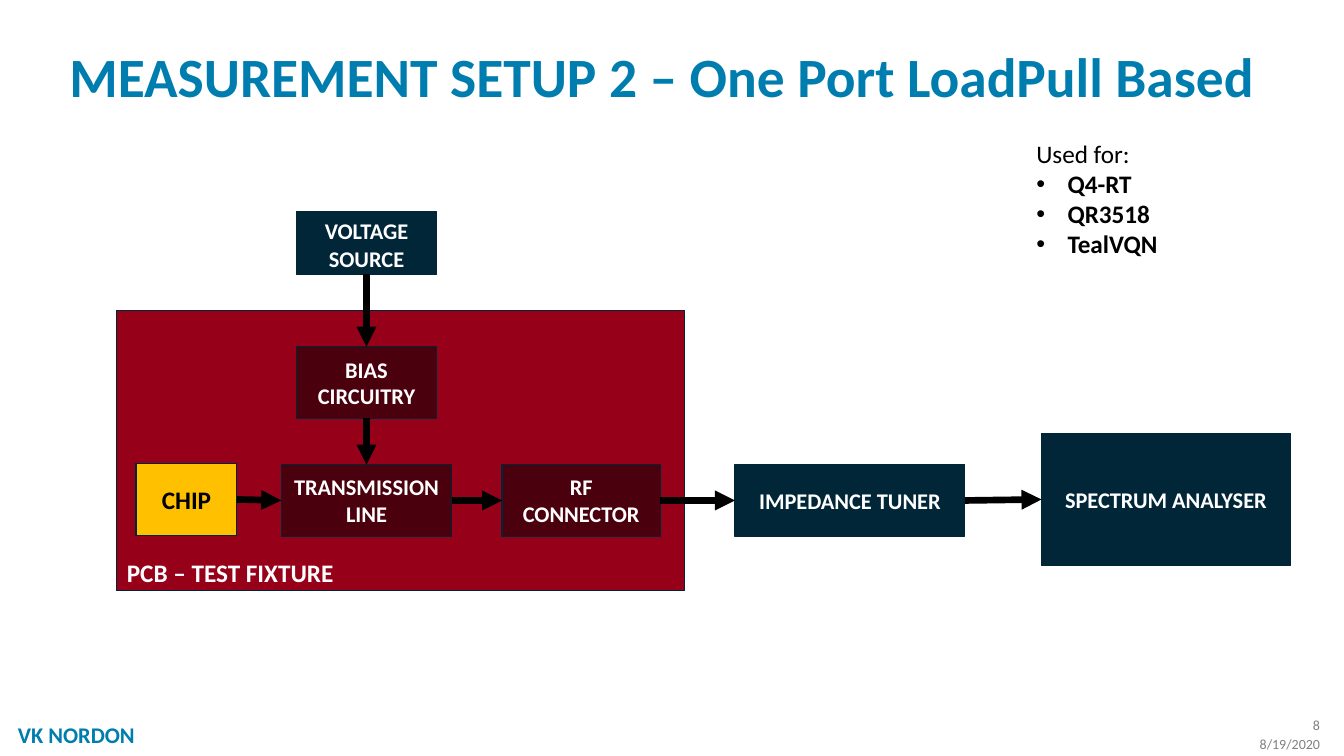
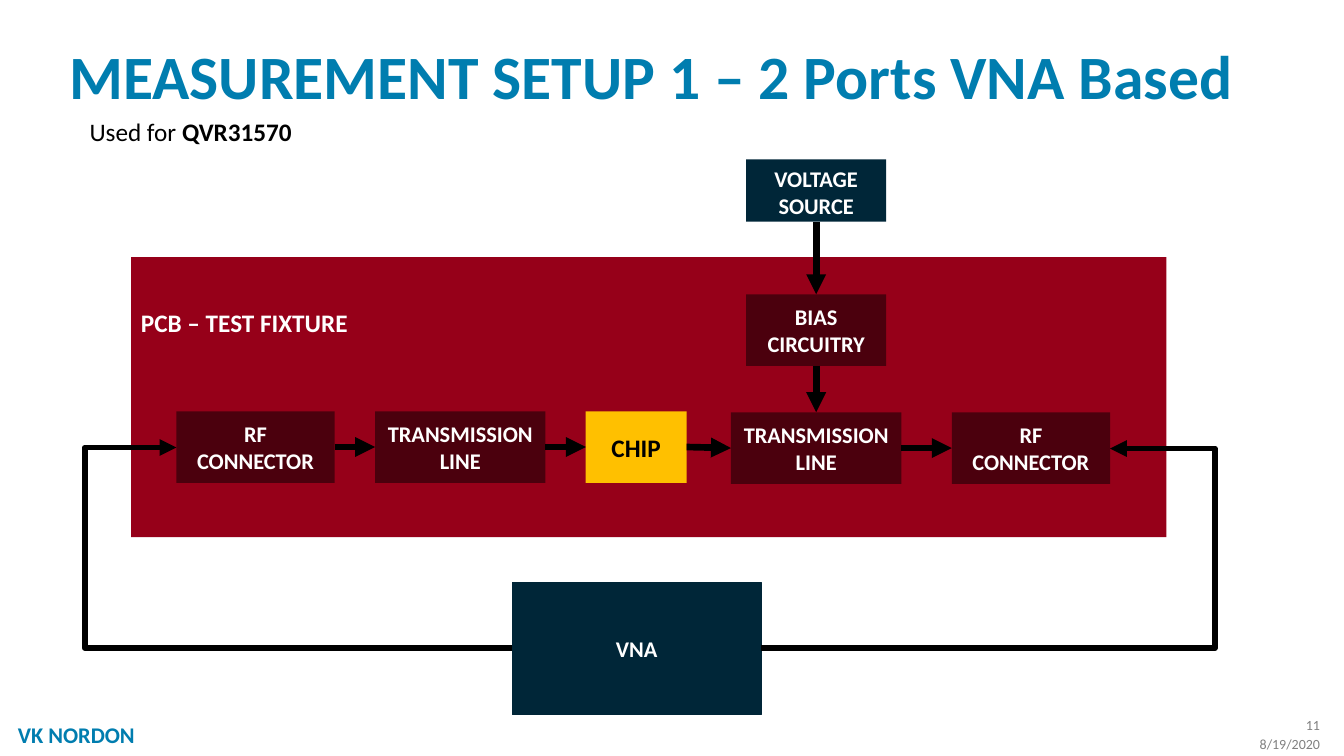
from lxml.etree import SubElement
from pptx import Presentation
from pptx.dml.color import RGBColor
from pptx.enum.shapes import MSO_CONNECTOR as LINK, MSO_SHAPE
from pptx.enum.text import MSO_ANCHOR as ANCHOR, PP_ALIGN as ALIGN
from pptx.oxml.ns import qn
from pptx.util import Inches, Pt

# Shared colours and formats
BLUE, GRAY, BLACK, WHITE = "007DAF", "808080", "000000", "FFFFFF"
NAVY, EDGE, RED, MAROON, AMBER = "002638", "002537", "960019", "4B000D", "FFC000"
TITLE = {"size": Pt(44), "bold": True, "color": BLUE}
BRAND = {"size": Pt(16), "bold": True, "color": BLUE}
FOOTER = {"size": Pt(10), "color": GRAY}
BODY = {"size": Pt(18), "color": BLACK}
STRONG = {**BODY, "bold": True}
BLOCK = {"size": Pt(16), "bold": True, "color": WHITE}
FIXTURE = {**BLOCK, "size": Pt(18)}

# Connection sites of a rectangle
TOP, LEFT, BOTTOM, RIGHT = range(4)
BLOCK_HEIGHT = 0.71


def rgb(hex_color):
    return RGBColor.from_string(hex_color)


class Deck:
    def __init__(self):
        self.prs = Presentation()
        self.prs.slide_width, self.prs.slide_height = Inches(13.33), Inches(7.5)
        self.slide = None
        self.outlined = True

    def new_slide(self, title, number, title_size=44, outlined=True):
        self.slide = self.prs.slides.add_slide(self.prs.slide_layouts[6])
        self.outlined = outlined
        middle = {"vertical_anchor": ANCHOR.MIDDLE}
        self.text((0.08, 7.09, 1.57, 0.39), [[("VK NORDON", BRAND)]],
                  frame={**middle, "word_wrap": False})
        self.text((0.59, 0.2, 12.2, 1.18),
                  [[(title, {**TITLE, "size": Pt(title_size)})]],
                  frame=middle, paragraph={"line_spacing": 0.9})
        for top, entry in ((7.09, number), (7.28, "8/19/2020")):
            self.text((12.01, top, 1.18, 0.2), [[(entry, FOOTER)]],
                      frame=middle, paragraph={"alignment": ALIGN.RIGHT})

    def fill_text(self, frame, paragraphs, frame_format, paragraph_format):
        for name, value in {"word_wrap": True, **frame_format}.items():
            setattr(frame, name, value)
        for index, runs in enumerate(paragraphs):
            paragraph = frame.add_paragraph() if index else frame.paragraphs[0]
            for name, value in paragraph_format.items():
                setattr(paragraph, name, value)
            for words, style in runs:
                run = paragraph.add_run()
                run.text = words
                for name, value in {"name": "Calibri", **style}.items():
                    if name == "color":
                        run.font.color.rgb = rgb(value)
                    else:
                        setattr(run.font, name, value)

    def text(self, at, paragraphs, frame=None, paragraph=None):
        box = self.slide.shapes.add_textbox(*map(Inches, at))
        self.fill_text(box.text_frame, paragraphs, frame or {}, paragraph or {})
        return box

    def bullets(self, paragraphs):
        for paragraph in paragraphs:
            props = paragraph._p.get_or_add_pPr()
            props.set("marL", str(Inches(0.31)))
            props.set("indent", str(-Inches(0.31)))
            SubElement(props, qn("a:buFont"), typeface="Arial")
            SubElement(props, qn("a:buChar"), char="•")

    def block(self, at, runs, fill=MAROON, outlined=None, frame=None,
              alignment=ALIGN.CENTER):
        shape = self.slide.shapes.add_shape(MSO_SHAPE.RECTANGLE, *map(Inches, at))
        shape.shadow.inherit = False
        shape.fill.solid()
        shape.fill.fore_color.rgb = rgb(fill)
        if self.outlined if outlined is None else outlined:
            shape.line.color.rgb = rgb(EDGE)
            shape.line.width = Pt(0.85)
        else:
            shape.line.fill.background()
        self.fill_text(shape.text_frame, [runs],
                       {"vertical_anchor": ANCHOR.MIDDLE, **(frame or {})},
                       {"alignment": alignment})
        return shape

    def connector(self, kind, start, end, width):
        link = self.slide.shapes.add_connector(kind, *start, *end)
        link.line.color.rgb = rgb(BLACK)
        link.line.width = Pt(width)
        SubElement(link.line._get_or_add_ln(), qn("a:tailEnd"), type="triangle")
        SubElement(link._element.spPr, qn("a:effectLst"))
        return link

    def arrow(self, source, target, exit_site=RIGHT, entry_site=LEFT):
        link = self.connector(LINK.STRAIGHT, (0, 0), (0, 0), 4.75)
        link.begin_connect(source, exit_site)
        link.end_connect(target, entry_site)

    def loop(self, start, end, turn_x):
        """Bent arrow whose upright part stands at turn_x."""
        link = self.connector(LINK.ELBOW, [Inches(v) for v in start],
                              [Inches(v) for v in end], 4)
        bend = (turn_x - start[0]) / (end[0] - start[0])
        guides = link._element.spPr.find(qn("a:prstGeom")).find(qn("a:avLst"))
        SubElement(guides, qn("a:gd"), name="adj1", fmla=f"val {round(bend * 100000)}")


def fixture(deck, at, frame):
    deck.block(at, [("PCB – TEST FIXTURE", FIXTURE)], RED, frame=frame,
               alignment=ALIGN.LEFT)


def connector_block(deck, left, top):
    return deck.block((left, top, 1.57, BLOCK_HEIGHT), [("RF CONNECTOR", BLOCK)])


def line_block(deck, left, top):
    return deck.block((left, top, 1.69, BLOCK_HEIGHT), [("TRANSMISSION LINE", BLOCK)])


def biased_chain(deck, left, top):
    """Chip, line and connector in a row, with the bias supply above the line."""
    chip = deck.block((left, top, 1, BLOCK_HEIGHT),
                      [("CHIP", {**BLOCK, "size": Pt(18), "color": BLACK})], AMBER)
    line = line_block(deck, left + 1.44, top + 0.01)
    port = connector_block(deck, left + 3.63, top + 0.01)
    supply = deck.block((left + 1.59, top - 2.5, 1.39, 0.62),
                        [("VOLTAGE", BLOCK), (" ", FIXTURE), ("SOURCE", BLOCK)], NAVY)
    bias = deck.block((left + 1.59, top - 1.16, 1.39, BLOCK_HEIGHT),
                      [("BIAS CIRCUITRY", BLOCK)])
    deck.arrow(chip, line)
    deck.arrow(line, port)
    deck.arrow(supply, bias, BOTTOM, TOP)
    deck.arrow(bias, line, BOTTOM, TOP)
    return chip, port


def one_port_slide(deck):
    deck.new_slide("MEASUREMENT SETUP 2 – One Port LoadPull Based", "8", 39.6)
    fixture(deck, (1.16, 3.08, 5.63, 2.78),
            {"vertical_anchor": ANCHOR.BOTTOM, "margin_bottom": Inches(0.03)})
    _, port = biased_chain(deck, 1.35, 4.6)

    # Instruments
    tuner = deck.block((7.29, 4.61, 2.28, BLOCK_HEIGHT),
                       [("IMPEDANCE TUNER", BLOCK)], NAVY)
    analyser = deck.block((10.33, 4.3, 2.47, 1.31),
                          [("SPECTRUM ANALYSER", BLOCK)], NAVY)
    deck.arrow(port, tuner)
    deck.arrow(tuner, analyser)

    # Measured parts
    parts = [[(part, STRONG)] for part in ("Q4-RT", "QR3518", "TealVQN")]
    usage = deck.text((10.18, 1.32, 2.9, 1.31), [[("Used for:", BODY)], *parts])
    deck.bullets(usage.text_frame.paragraphs[1:])


def two_port_slide(deck):
    deck.new_slide("MEASUREMENT SETUP 1 – 2 Ports VNA Based", "11", outlined=False)
    fixture(deck, (1.3, 2.55, 10.27, 2.78),
            {"vertical_anchor": ANCHOR.TOP, "margin_top": Inches(0.5)})
    chip, _ = biased_chain(deck, 5.81, 4.08)

    # Input side
    input_port = connector_block(deck, 1.75, 4.08)
    input_line = line_block(deck, 3.72, 4.08)
    deck.arrow(input_port, input_line)
    deck.arrow(input_line, chip)

    # Analyser and its two ports
    deck.block((5.08, 5.78, 2.47, 1.31), [("VNA", BLOCK)], NAVY, outlined=True)
    deck.loop((5.08, 6.43), (1.75, 4.44), 0.84)
    deck.loop((7.55, 6.43), (11.01, 4.45), 12.05)

    deck.text((0.79, 1.1, 6.67, 0.4), [[("Used for ", BODY), ("QVR31570", STRONG)]])


def main():
    deck = Deck()
    one_port_slide(deck)
    two_port_slide(deck)
    deck.prs.save("out.pptx")


if __name__ == "__main__":
    main()
